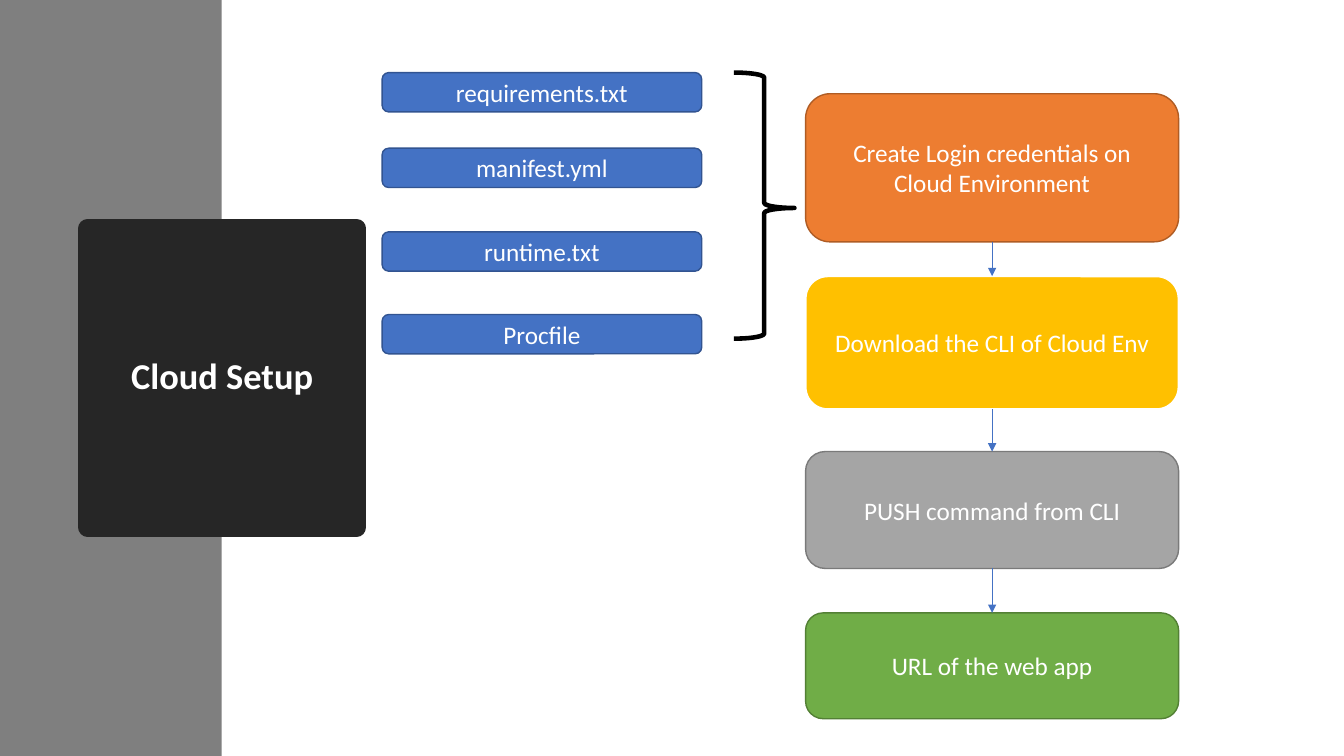
"""Builds the Cloud Setup slide: deployment files feeding a four-step flow."""
from itertools import pairwise

from lxml.etree import SubElement
from pptx import Presentation
from pptx.dml.color import RGBColor
from pptx.enum.shapes import MSO_CONNECTOR as Connector, MSO_SHAPE as Shape
from pptx.enum.text import MSO_ANCHOR as Anchor, PP_ALIGN as Align
from pptx.oxml.ns import qn
from pptx.util import Inches, Pt

COLORS = {
    "white": "FFFFFF", "black": "000000", "band": "7F7F7F", "title": "262626",
    "blue": "4472C4", "blue_edge": "325491",
    "orange": "ED7D31", "orange_edge": "AF5C24", "yellow": "FFC000",
    "gray": "A5A5A5", "gray_edge": "7A7A7A",
    "green": "70AD47", "green_edge": "538035",
}
FILES = [("requirements.txt", 0.72), ("manifest.yml", 1.47),
         ("runtime.txt", 2.3), ("Procfile", 3.12)]
STEPS = [
    ("Create Login credentials on Cloud Environment", 0.93, 1.47, "orange", "orange_edge", 1),
    ("Download the CLI of Cloud Env", 2.74, 1.32, "yellow", "white", 1.5),
    ("PUSH command from CLI", 4.48, 1.16, "gray", "gray_edge", 1),
    ("URL of the web app", 6.08, 1.05, "green", "green_edge", 1),
]
STEP_LEFT, STEP_WIDTH = 7.99, 3.7


def rgb(name):
    return RGBColor.from_string(COLORS[name])


def write(shape, text, size=18, bold=False, spacing=1.0, color="white", font="Calibri"):
    frame = shape.text_frame
    frame.word_wrap = True
    frame.vertical_anchor = Anchor.MIDDLE
    paragraph = frame.paragraphs[0]
    paragraph.alignment = Align.CENTER
    paragraph.line_spacing = spacing
    run = paragraph.add_run()
    run.text = text
    run.font.name, run.font.size, run.font.bold = font, Pt(size), bold
    run.font.color.rgb = rgb(color)


class SlideBuilder:
    def __init__(self, slide):
        self.slide = slide

    def block(self, kind, left, top, width, height, fill=None, edge=None, weight=1):
        shape = self.slide.shapes.add_shape(
            kind, Inches(left), Inches(top), Inches(width), Inches(height))
        shape.shadow.inherit = False
        if fill:
            shape.fill.solid()
            shape.fill.fore_color.rgb = rgb(fill)
        else:
            shape.fill.background()
        if edge:
            shape.line.color.rgb = rgb(edge)
            shape.line.width = Pt(weight)
        else:
            shape.line.fill.background()
        return shape

    def title(self, text):
        panel = self.block(Shape.RECTANGLE, 0.87, 2.27, 2.67, 2.96, "title", "title", 13.75)
        SubElement(panel.line._get_or_add_ln(), qn("a:round"))
        write(panel, text, size=26, bold=True, spacing=0.9)

    def card(self, text, *place_and_style):
        write(self.block(Shape.FLOWCHART_ALTERNATE_PROCESS, *place_and_style), text)

    def brace(self, left, top, width, height):
        brace = self.block(Shape.RIGHT_BRACE, left, top, width, height, None, "black", 3.25)
        brace.adjustments[0], brace.adjustments[1] = 0.083, 0.509

    def arrow_down(self, x, start, end):
        arrow = self.slide.shapes.add_connector(
            Connector.STRAIGHT, Inches(x), Inches(start), Inches(x), Inches(end))
        arrow.line.color.rgb = rgb("blue")
        arrow.line.width = Pt(0.5)
        SubElement(arrow.line._get_or_add_ln(), qn("a:tailEnd"), type="triangle")
        SubElement(arrow._element.spPr, qn("a:effectLst"))


def main():
    deck = Presentation()
    deck.slide_width, deck.slide_height = Inches(13.33), Inches(7.5)
    builder = SlideBuilder(deck.slides.add_slide(deck.slide_layouts[6]))

    builder.block(Shape.RECTANGLE, 0, 0, 2.2, 7.5, "band")
    builder.title("Cloud Setup")
    for name, top in FILES:
        builder.card(name, 3.79, top, 3.17, 0.39, "blue", "blue_edge")
    for text, top, height, *style in STEPS:
        builder.card(text, STEP_LEFT, top, STEP_WIDTH, height, *style)
    builder.brace(7.28, 0.72, 0.6, 2.64)
    for (_, top, height, *_), (_, next_top, *_) in pairwise(STEPS):
        builder.arrow_down(STEP_LEFT + STEP_WIDTH / 2, top + height, next_top)

    deck.save("out.pptx")


if __name__ == "__main__":
    main()
